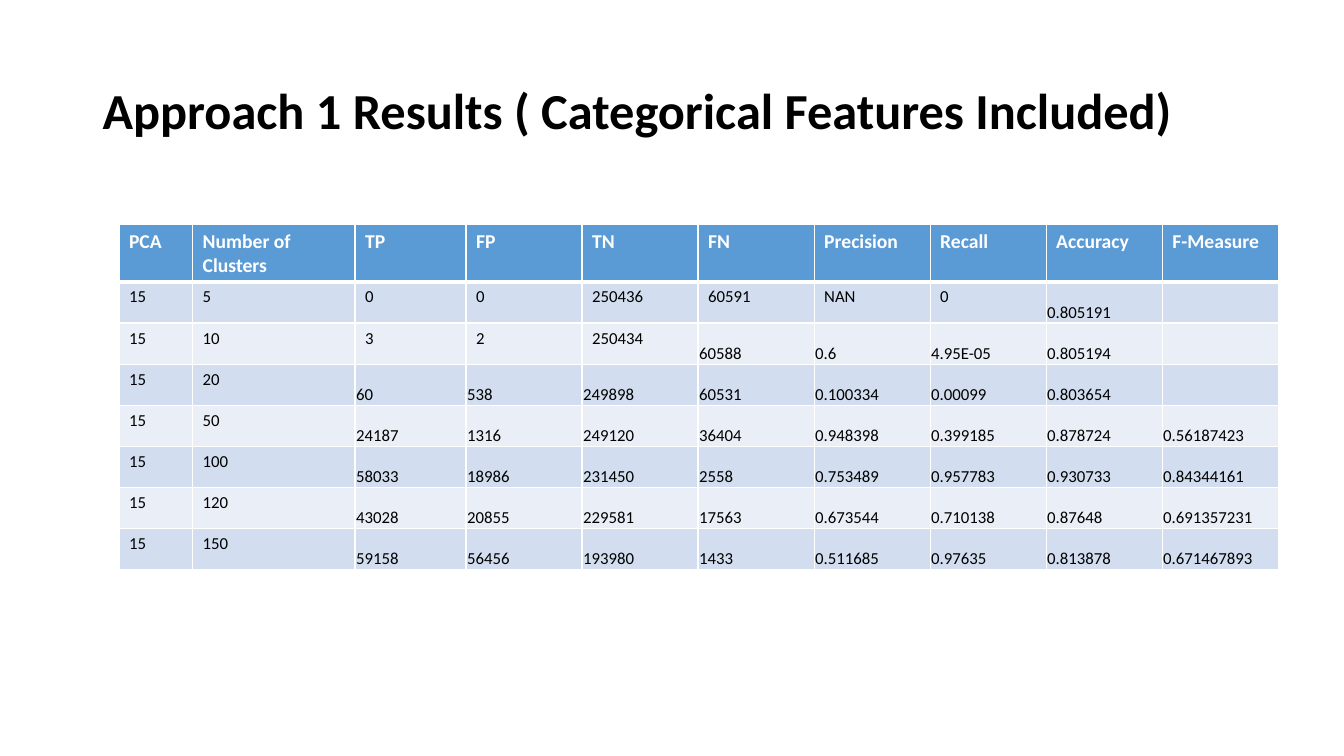
from typing import NamedTuple

from lxml.etree import SubElement
from pptx import Presentation
from pptx.dml.color import RGBColor
from pptx.enum.text import MSO_ANCHOR as Anchor
from pptx.oxml.ns import qn
from pptx.util import Inches, Pt

FONT = "Calibri"
COLORS = {
    "text": "000000",
    "white": "FFFFFF",
    "header": "5B9BD5",
    "dark_band": "D2DEEF",
    "light_band": "EAEFF7",
}


class Box(NamedTuple):
    left: float
    top: float
    width: float
    height: float


class Column(NamedTuple):
    heading: str
    weight: float = 1.15


class Result(NamedTuple):
    values: tuple[str, ...]
    padded_count: int = 2


TITLE_BOX = Box(0.92 / 13.33, 0.4 / 7.5, 11.5 / 13.33, 1.45 / 7.5)
TABLE_BOX = Box(1.18 / 13.33, 2.23 / 7.5, 11.5 / 13.33, 3.26 / 7.5)
COLUMNS = [
    Column("PCA", 0.73),
    Column("Number of Clusters", 1.61),
    Column("TP", 1.1),
    *map(Column, ("FP", "TN", "FN", "Precision", "Recall", "Accuracy", "F-Measure")),
]
RESULTS = [
    Result(("15", "5", "0", "0", "250436", "60591", "NAN", "0", "0.805191", ""), 8),
    Result(("15", "10", "3", "2", "250434", "60588", "0.6", "4.95E-05", "0.805194", ""), 5),
    Result(("15", "20", "60", "538", "249898", "60531", "0.100334", "0.00099", "0.803654", "")),
    Result(("15", "50", "24187", "1316", "249120", "36404", "0.948398", "0.399185", "0.878724", "0.56187423")),
    Result(("15", "100", "58033", "18986", "231450", "2558", "0.753489", "0.957783", "0.930733", "0.84344161")),
    Result(("15", "120", "43028", "20855", "229581", "17563", "0.673544", "0.710138", "0.87648", "0.691357231")),
    Result(("15", "150", "59158", "56456", "193980", "1433", "0.511685", "0.97635", "0.813878", "0.671467893")),
]


def color(name: str) -> RGBColor:
    return RGBColor.from_string(COLORS[name])


def place(box: Box) -> tuple[int, ...]:
    width, height = presentation.slide_width, presentation.slide_height
    return tuple(int(share * side) for share, side in zip(box, (width, height) * 2))


def write(frame, text: str, *, size: int, bold: bool = False, ink: str = "text"):
    paragraph = frame.paragraphs[0]
    paragraph.text = text
    for font in (paragraph.font, *(run.font for run in paragraph.runs)):
        font.name, font.size, font.bold = FONT, Pt(size), bold
        font.color.rgb = color(ink)
    return paragraph


def add_border(cell, side: str, points: int) -> None:
    properties = cell._tc.get_or_add_tcPr()
    line = SubElement(properties, qn(f"a:ln{side}"), w=str(Pt(points)))
    fill = SubElement(line, qn("a:solidFill"))
    SubElement(fill, qn("a:srgbClr"), val=COLORS["white"])


def style_cell(cell, fill: str, *, top: int = 1, bottom: int = 1) -> None:
    for side, points in {"L": 1, "R": 1, "T": top, "B": bottom}.items():
        add_border(cell, side, points)
    cell.fill.solid()
    cell.fill.fore_color.rgb = color(fill)


def anchor_to_bottom(cell) -> None:
    cell.vertical_anchor = Anchor.BOTTOM
    cell.margin_left = cell.margin_right = cell.margin_top = Inches(0.01)
    cell.margin_bottom = 0


def add_title(text: str) -> None:
    frame = slide.shapes.add_textbox(*place(TITLE_BOX)).text_frame
    frame.word_wrap = True
    frame.vertical_anchor = Anchor.MIDDLE
    write(frame, text, size=36, bold=True).line_spacing = 0.9


def add_results_table() -> None:
    position = place(TABLE_BOX)
    table = slide.shapes.add_table(len(RESULTS) + 1, len(COLUMNS), *position).table
    table.horz_banding = False
    total_weight = sum(column.weight for column in COLUMNS)
    for index, column in enumerate(COLUMNS):
        table.columns[index].width = int(position[2] * column.weight / total_weight)
        cell = table.cell(0, index)
        style_cell(cell, "header", bottom=3)
        write(cell.text_frame, column.heading, size=14, bold=True, ink="white")
    for row, result in enumerate(RESULTS, start=1):
        band = "dark_band" if row % 2 else "light_band"
        for index, value in enumerate(result.values):
            cell = table.cell(row, index)
            style_cell(cell, band, top=3 if row == 1 else 1)
            write(cell.text_frame, value, size=12)
            if value and index >= result.padded_count:
                anchor_to_bottom(cell)


presentation = Presentation()
presentation.slide_width, presentation.slide_height = Inches(13.33), Inches(7.5)
slide = presentation.slides.add_slide(presentation.slide_layouts[6])
add_title("Approach 1 Results ( Categorical Features Included)")
add_results_table()
presentation.save("out.pptx")
